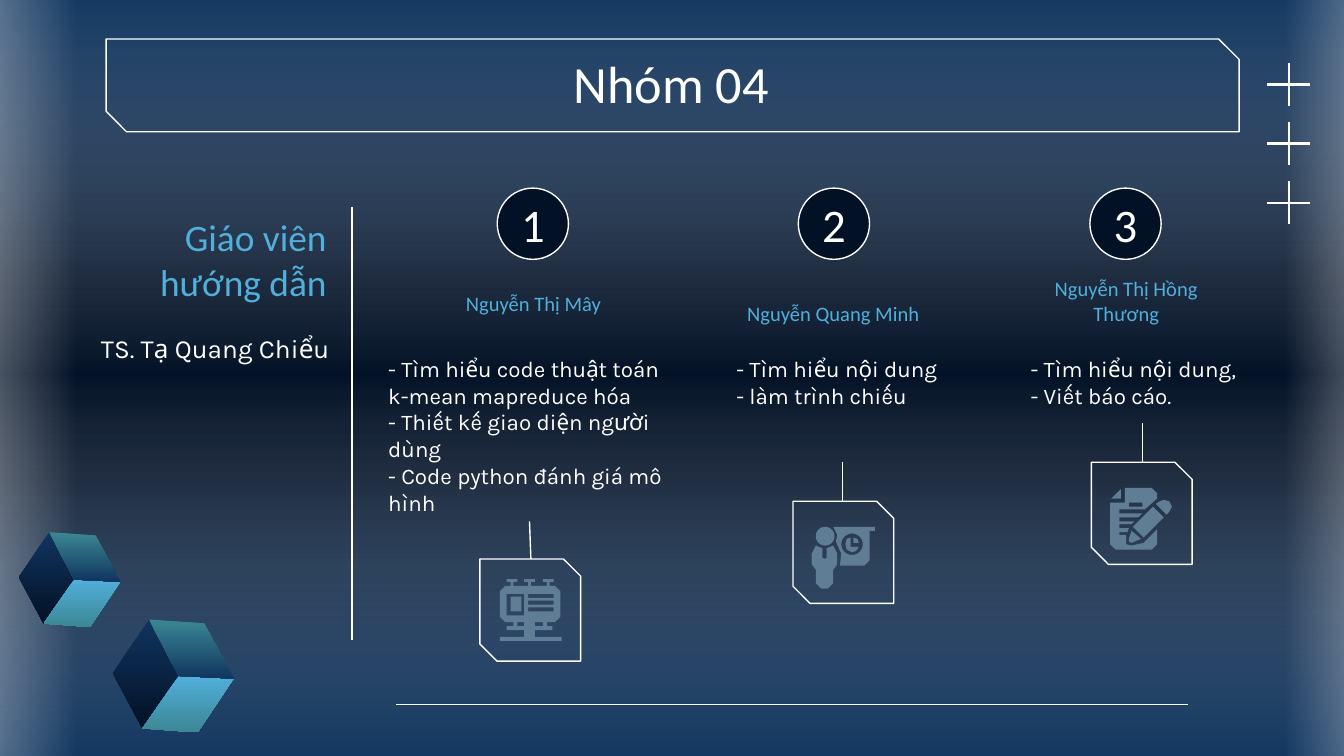
import math

from lxml import etree
from pptx import Presentation
from pptx.dml.color import RGBColor
from pptx.enum import shapes, text
from pptx.oxml.ns import qn
from pptx.util import Inches, Pt


class Theme:
    white, navy, night = "FFFFFF", "10355F", "031126"
    sky, teal, icon = "51AFDB", "3B8794", "5F7D95"
    heading, body = "Calibri", "Karla"
    title, teacher, number, lead, task, name = 28, 20, 25, 14, 12, 11
    line = Pt(0.75)


def paint(fill, owner, stops, angle):
    fill.gradient()
    grad = next(owner.iter(qn("a:gradFill")))
    gs_list = grad.find(qn("a:gsLst"))
    for gs in list(gs_list):
        gs_list.remove(gs)
    for position, colour, opacity in stops:
        gs = etree.SubElement(gs_list, qn("a:gs"), pos=str(position * 1000))
        clr = etree.SubElement(gs, qn("a:srgbClr"), val=colour)
        if opacity < 100:
            etree.SubElement(clr, qn("a:alpha"), val=str(opacity * 1000))
    grad.find(qn("a:lin")).set("ang", str(angle * 60000))


def outline(contours):
    builder = None
    for c in contours:
        if isinstance(c, tuple) and len(c) == 4:
            x, y, w, h = c
            c = [(x, y), (x + w, y), (x + w, y + h), (x, y + h)]
        elif isinstance(c, tuple):
            x, y, radius = c
            turns = [math.radians(15 * i) for i in range(24)]
            c = [(x + radius * math.cos(a), y + radius * math.sin(a)) for a in turns]
        points = [(Inches(x), Inches(y)) for x, y in c]
        if builder is None:
            builder = s.shapes.build_freeform(*points[0], scale=1.0)
        else:
            builder.move_to(*points[0])
        builder.add_line_segments(points[1:], close=True)
    sp = builder.convert_to_shape()
    sp.shadow.inherit = False
    sp.line.fill.background()
    sp.fill.solid()
    sp.fill.fore_color.rgb = RGBColor.from_string(Theme.icon)
    return sp


prs = Presentation()
prs.slide_width = Inches(10)
prs.slide_height = prs.slide_width * 9 // 16
s = prs.slides.add_slide(prs.slide_layouts[5])
SHAPE, ALIGN, ANCHOR = shapes.MSO_SHAPE, text.PP_ALIGN, text.MSO_ANCHOR
white = RGBColor.from_string(Theme.white)

paint(s.background.fill, s._element,
      [(0, Theme.navy, 100), (37, Theme.night, 100), (63, Theme.night, 100), (100, Theme.navy, 100)], 90)

glow = [(0, Theme.white, 47), (100, Theme.white, 0)]
veil = [(0, Theme.navy, 59), (50, Theme.white, 0), (100, Theme.navy, 59)]
for box, stops, angle in [
    ((0, -0.13, 10.21, 5.81), veil, 90),
    ((-0.41, -0.09, 0.98, 5.8), glow, 0),
    ((9.56, -0.13, 0.85, 5.8), glow, 180),
]:
    sp = s.shapes.add_shape(SHAPE.RECTANGLE, *map(Inches, box))
    sp.shadow.inherit = False
    sp.line.fill.background()
    paint(sp.fill, sp._element, stops, angle)

for box, snip in [
    ((0.79, 0.29, 8.43, 0.69), 0.22),
    ((3.57, 4.16, 0.75, 0.76), 0.17),
    ((5.9, 3.73, 0.75, 0.76), 0.17),
    ((8.12, 3.44, 0.75, 0.76), 0.17),
]:
    sp = s.shapes.add_shape(SHAPE.SNIP_2_DIAG_RECTANGLE, *map(Inches, box))
    sp.adjustments[0], sp.adjustments[1] = 0, snip
    sp.shadow.inherit = False
    sp.fill.background()
    sp.line.color.rgb = white
    sp.line.width = Theme.line

for ends in [
    (2.62, 1.54, 2.62, 4.76),
    (2.95, 5.24, 8.84, 5.24),
    (3.95, 4.16, 3.94, 3.88),
    (6.27, 3.73, 6.27, 3.44),
    (8.5, 3.44, 8.5, 3.15),
]:
    line = s.shapes.add_connector(shapes.MSO_CONNECTOR.STRAIGHT, *map(Inches, ends))
    line.line.color.rgb = white
    line.line.width = Theme.line
    etree.SubElement(line._element.spPr, qn("a:effectLst"))

title = s.shapes.title
title.left, title.top, title.width, title.height = map(Inches, (0.78, 0.3, 8.43, 0.63))
s.shapes._spTree.append(title._element)
labels = [(title, ["Nhóm 04"], Theme.title, Theme.heading, Theme.white, ALIGN.CENTER, ANCHOR.MIDDLE, 0.1)]

heading = (Theme.heading, Theme.sky)
body = (Theme.body, Theme.white)
for box, lines, size, look, align, anchor in [
    ((0.78, 1.53, 1.75, 0.83), ["Giáo viên hướng dẫn"], Theme.teacher, heading, ALIGN.RIGHT, ANCHOR.BOTTOM),
    ((0.36, 2.37, 2.19, 0.93), ["TS. Tạ Quang Chiểu"], Theme.lead, body, ALIGN.RIGHT, ANCHOR.TOP),
    ((3.13, 2.09, 1.68, 0.36), ["Nguyễn Thị Mây"], Theme.name, heading, ALIGN.CENTER, ANCHOR.BOTTOM),
    ((5.36, 2.16, 1.68, 0.36), ["Nguyễn Quang Minh"], Theme.name, heading, ALIGN.CENTER, ANCHOR.BOTTOM),
    ((7.54, 2.16, 1.68, 0.36), ["Nguyễn Thị Hồng Thương"], Theme.name, heading, ALIGN.CENTER, ANCHOR.BOTTOM),
    ((2.79, 2.54, 2.31, 1.34),
     ["- Tìm hiểu code thuật toán k-mean mapreduce hóa", "- Thiết kế giao diện người dùng",
      "- Code python đánh giá mô hình"], Theme.task, body, ALIGN.LEFT, ANCHOR.TOP),
    ((5.38, 2.54, 1.79, 0.9), ["- Tìm hiểu nội dung", "- làm trình chiếu"],
     Theme.task, body, ALIGN.LEFT, ANCHOR.TOP),
    ((7.57, 2.54, 1.87, 0.62), ["- Tìm hiểu nội dung,", "- Viết báo cáo."],
     Theme.task, body, ALIGN.LEFT, ANCHOR.TOP),
]:
    sp = s.shapes.add_textbox(*map(Inches, box))
    labels.append((sp, lines, size, *look, align, anchor, 0.1))

for number, x in enumerate((3.7, 5.94, 8.11), 1):
    sp = s.shapes.add_shape(SHAPE.OVAL, Inches(x), Inches(1.4), Inches(0.53), Inches(0.53))
    sp.shadow.inherit = False
    sp.fill.solid()
    sp.fill.fore_color.rgb = RGBColor.from_string(Theme.night)
    sp.line.color.rgb = white
    sp.line.width = Theme.line
    labels.append((sp, [str(number)], Theme.number, Theme.heading, Theme.white, ALIGN.CENTER, ANCHOR.MIDDLE, 0))

for sp, lines, size, font, colour, align, anchor, inset in labels:
    tf = sp.text_frame
    tf.word_wrap = True
    tf.auto_size = text.MSO_AUTO_SIZE.NONE
    tf.vertical_anchor = anchor
    tf.margin_left = tf.margin_top = tf.margin_right = tf.margin_bottom = Inches(inset)
    tf.text = "\n".join(lines)
    for p in tf.paragraphs:
        p.alignment = align
        p.font.size = Pt(size)
        p.font.name = font
        p.font.color.rgb = RGBColor.from_string(colour)

for row in range(3):
    y = 0.63 + 0.44 * row
    for bar in [(9.43, y - 0.01, 0.32, 0.02), (9.58, y - 0.16, 0.02, 0.32)]:
        sp = outline([bar])
        sp.fill.fore_color.rgb = white

back, left, low, centre, top, right, front = [
    (0.27, 0), (0, 0.4), (0.22, 0.81), (0.49, 0.42), (0.68, 0.03), (0.9, 0.44), (0.63, 0.84)]
faces = [
    ([back, left, low, centre], Theme.navy, Theme.night),
    ([centre, right, front, low], Theme.sky, Theme.teal),
    ([back, top, right, centre], Theme.teal, Theme.navy),
]
for x, y, scale in [(0.84, 4.61, 1), (0.14, 3.96, 0.84)]:
    for corners, start, end in faces:
        sp = outline([[(x + dx * scale, y + dy * scale) for dx, dy in corners]])
        paint(sp.fill, sp._element, [(0, start, 100), (100, end, 100)], 90)

page = [(8.37, 3.63), (8.37, 3.74), (8.26, 3.74), (8.26, 4.05), (8.3, 4.09), (8.57, 4.09),
        (8.61, 4.05), (8.61, 3.94), (8.51, 4.04), (8.42, 4.06), (8.38, 4.05), (8.38, 3.98),
        (8.33, 3.98), (8.33, 3.96), (8.39, 3.96), (8.4, 3.93), (8.33, 3.93), (8.33, 3.9),
        (8.42, 3.9), (8.44, 3.88), (8.33, 3.88), (8.33, 3.85), (8.47, 3.85), (8.5, 3.82),
        (8.33, 3.82), (8.33, 3.79), (8.52, 3.79), (8.61, 3.71), (8.61, 3.67), (8.57, 3.63)]
fold = [(8.34, 3.64), (8.27, 3.71), (8.34, 3.71)]
pen_tip = [(8.42, 3.95), (8.4, 4.01), (8.4, 4.03), (8.42, 4.04), (8.49, 4.01)]
pen_body = [(8.58, 3.77), (8.43, 3.92), (8.51, 4), (8.66, 3.85)]
pen_end = [(8.6, 3.75), (8.63, 3.73), (8.66, 3.72), (8.7, 3.73), (8.72, 3.77), (8.7, 3.81), (8.68, 3.83)]
outline([page, (8.4, 3.74, 0.1, 0.03), fold, pen_tip, pen_body, pen_end])

board = [(6.2, 3.92), (6.23, 3.98), (6.22, 4.03), (6.26, 4.12), (6.25, 4.21), (6.43, 4.21),
         (6.47, 4.17), (6.47, 3.95), (6.51, 3.95), (6.51, 3.92)]
clock = [(6.33, 4), (6.3, 4.01), (6.29, 4.05), (6.3, 4.09), (6.34, 4.11), (6.37, 4.1), (6.39, 4.07), (6.33, 4.07)]
wedge = [(6.35, 4), (6.35, 4.04), (6.39, 4.04), (6.38, 4.01)]
speaker = [(6.07, 4.06), (6.04, 4.12), (6.04, 4.2), (6.07, 4.24), (6.07, 4.34), (6.11, 4.38),
           (6.16, 4.38), (6.2, 4.34), (6.2, 4.24), (6.23, 4.2), (6.23, 4.12), (6.2, 4.06),
           (6.15, 4.08), (6.15, 4.15), (6.14, 4.16), (6.12, 4.15), (6.12, 4.08)]
outline([board, (6.34, 4.05, 0.08), clock, wedge, (6.14, 3.99, 0.07), speaker])

panel = [(3.76, 4.36), (4.13, 4.36), (4.17, 4.4), (4.17, 4.59), (4.13, 4.63), (3.76, 4.63), (3.72, 4.59), (3.72, 4.4)]
billboard = [panel, (3.77, 4.42, 0.13, 0.16), (3.8, 4.44, 0.08, 0.11)]
billboard += [(3.93, y, 0.19, 0.03) for y in (4.42, 4.47, 4.52)]
for x in (3.8, 3.93, 4.07):
    billboard += [(x - 0.03, 4.31, 0.08, 0.02), (x, 4.33, 0.02, 0.03)]
billboard += [(x, 4.63, 0.03, 0.03) for x in (3.82, 4.04)]
billboard += [(x, 4.66, 0.13, 0.03) for x in (3.77, 3.98)]
billboard += [(3.9, 4.63, 0.08, 0.11), (3.72, 4.74, 0.46, 0.03)]
outline(billboard)

prs.save("out.pptx")
